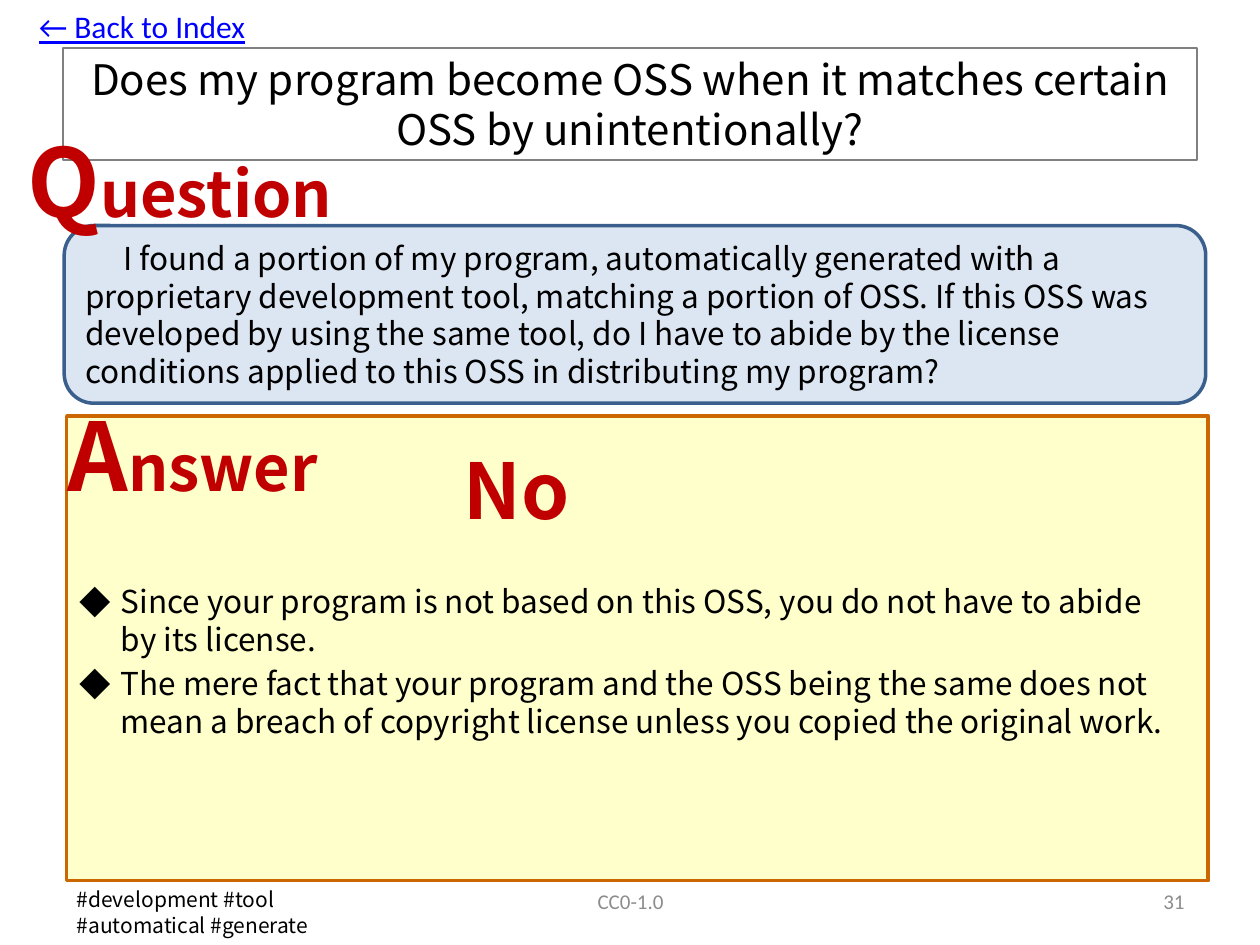
from lxml import etree
from pptx import Presentation
from pptx.dml.color import RGBColor
from pptx.enum.shapes import MSO_SHAPE
from pptx.enum.text import MSO_ANCHOR, MSO_AUTO_SIZE, PP_ALIGN
from pptx.oxml.ns import qn
from pptx.util import Inches, Pt

SANS = "Noto Sans CJK JP"
LATIN = "Calibri"
BLACK, RED, GREY, BLUE = "000000", "C00000", "8C8C8C", "0000FF"


def color(hex_value):
    """Return the colour for a hex string."""
    return RGBColor.from_string(hex_value)


def add_run(paragraph, text, size, ink=BLACK, face=SANS, bold=False, underline=False):
    """Append one formatted run to a paragraph."""
    run = paragraph.add_run()
    run.text = text
    font = run.font
    font.size, font.name = Pt(size), face
    font.bold, font.underline = bold, underline
    font.color.rgb = color(ink)
    properties = run._r.get_or_add_rPr()
    latin = properties.find(qn("a:latin"))
    east_asian = etree.Element(qn("a:ea"), typeface=face)
    latin.addnext(east_asian)


def add_panel(slide, preset, box, fill, line):
    """Add a filled and outlined panel."""
    panel = slide.shapes.add_shape(preset, *map(Inches, box))
    panel.shadow.inherit = False
    panel.fill.solid()
    panel.fill.fore_color.rgb = color(fill)
    panel.line.color.rgb = color(line)
    panel.line.width = Pt(2)
    return panel


def add_label(slide, box, wrap=False, grow=True):
    """Add a text box and return its text frame."""
    frame = slide.shapes.add_textbox(*map(Inches, box)).text_frame
    frame.word_wrap = wrap
    frame.auto_size = MSO_AUTO_SIZE.SHAPE_TO_FIT_TEXT if grow else MSO_AUTO_SIZE.NONE
    return frame


def add_title(slide, box, text):
    """Place and outline the title."""
    title = slide.shapes.title
    title.left, title.top, title.width, title.height = map(Inches, box)
    title.line.color.rgb = color("808080")
    title.line.width = Pt(0.75)
    frame = title.text_frame
    frame.word_wrap = True
    frame.auto_size = MSO_AUTO_SIZE.NONE
    frame.vertical_anchor = MSO_ANCHOR.MIDDLE
    frame.paragraphs[0].alignment = PP_ALIGN.CENTER
    add_run(frame.paragraphs[0], text, 24)


def add_heading(slide, box, initial, rest):
    """Add a red heading with an enlarged initial."""
    paragraph = add_label(slide, box).paragraphs[0]
    add_run(paragraph, initial, 54, RED, bold=True)
    add_run(paragraph, rest, 36, RED, bold=True)


def add_question(slide, box, text):
    """Add the rounded question panel and its heading."""
    left, top, width, height = box
    panel = add_panel(slide, MSO_SHAPE.ROUNDED_RECTANGLE, box, "DCE6F2", "3A5F8C")
    frame = panel.text_frame
    frame.word_wrap = True
    frame.vertical_anchor = MSO_ANCHOR.MIDDLE
    paragraph = frame.paragraphs[0]
    paragraph.alignment = PP_ALIGN.LEFT
    paragraph._p.get_or_add_pPr().set("indent", str(Inches(0.3)))
    add_run(paragraph, text, 18)
    add_heading(slide, (left - 0.39, top - 0.86, 2.78, 1.01), "Q", "uestion")


def add_answer(slide, box, verdict, reasons):
    """Add the answer panel with its heading, verdict and reasons."""
    left, top, width, height = box
    add_panel(slide, MSO_SHAPE.RECTANGLE, box, "FFFFCC", "CC6600")
    add_heading(slide, (left - 0.09, top - 0.2, 2.39, 1.01), "A", "nswer")
    verdict_frame = add_label(slide, (left + 3.05, top + 0.16, 2.13, 0.84), wrap=True)
    add_run(verdict_frame.paragraphs[0], verdict, 44, RED, bold=True)

    frame = add_label(slide, (left, top + 1.27, width - 0.09, height - 1.27), True, False)
    for index, reason in enumerate(reasons):
        paragraph = frame.add_paragraph() if index else frame.paragraphs[0]
        properties = paragraph._p.get_or_add_pPr()
        properties.set("marL", str(Inches(0.33)))
        properties.set("indent", str(-Inches(0.33)))
        etree.SubElement(properties, qn("a:buFont"), typeface=SANS)
        etree.SubElement(properties, qn("a:buChar"), char="◆")
        if index:
            paragraph.space_before = Pt(3.6)
        add_run(paragraph, reason, 18)


def add_back_label(slide, box, text):
    """Add the underlined label above the title."""
    add_run(add_label(slide, box).paragraphs[0], text, 18, BLUE, LATIN, underline=True)


def add_footer(slide, box, tag_lines, licence, number):
    """Add the tags, the licence and the page number along the bottom."""
    left, top, width, height = box
    tags = add_label(slide, (left + 0.01, top + 0.04, 2.21, 0.5)).paragraphs[0]
    for index, line in enumerate(tag_lines):
        if index:
            tags.add_line_break()
        add_run(tags, line, 12)
    entries = (
        (licence, left + 2.92, 3.17, PP_ALIGN.CENTER),
        (number, left + width - 2.33, 2.33, PP_ALIGN.RIGHT),
    )
    for text, entry_left, entry_width, alignment in entries:
        frame = add_label(slide, (entry_left, top, entry_width, height), True, False)
        frame.vertical_anchor = MSO_ANCHOR.MIDDLE
        frame.paragraphs[0].alignment = alignment
        add_run(frame.paragraphs[0], text, 12, GREY, LATIN)


def main():
    """Build the slide and save it."""
    presentation = Presentation()
    presentation.slide_width, presentation.slide_height = Inches(10), Inches(7.5)
    slide = presentation.slides.add_slide(presentation.slide_layouts[5])
    add_answer(slide, (0.53, 3.3, 9.06, 3.69), "No", (
        "Since your program is not based on this OSS, you do not have to abide "
        "by its license.",
        "The mere fact that your program and the OSS being the same does not mean "
        "a breach of copyright license unless you copied the original work.",
    ))
    add_title(slide, (0.5, 0.38, 9, 0.89),
              "Does my program become OSS when it matches certain OSS by unintentionally?")
    add_question(slide, (0.51, 1.79, 9.06, 1.41), (
        "I found a portion of my program, automatically generated with a proprietary "
        "development tool, matching a portion of OSS. If this OSS was developed by "
        "using the same tool, do I have to abide by the license conditions applied to "
        "this OSS in distributing my program?"
    ))
    add_back_label(slide, (0.21, 0.01, 1.86, 0.4), "← Back to Index")
    add_footer(slide, (0.5, 6.95, 9, 0.4),
               ("#development #tool", "#automatical #generate"), "CC0-1.0", "31")
    presentation.save("out.pptx")


if __name__ == "__main__":
    main()
